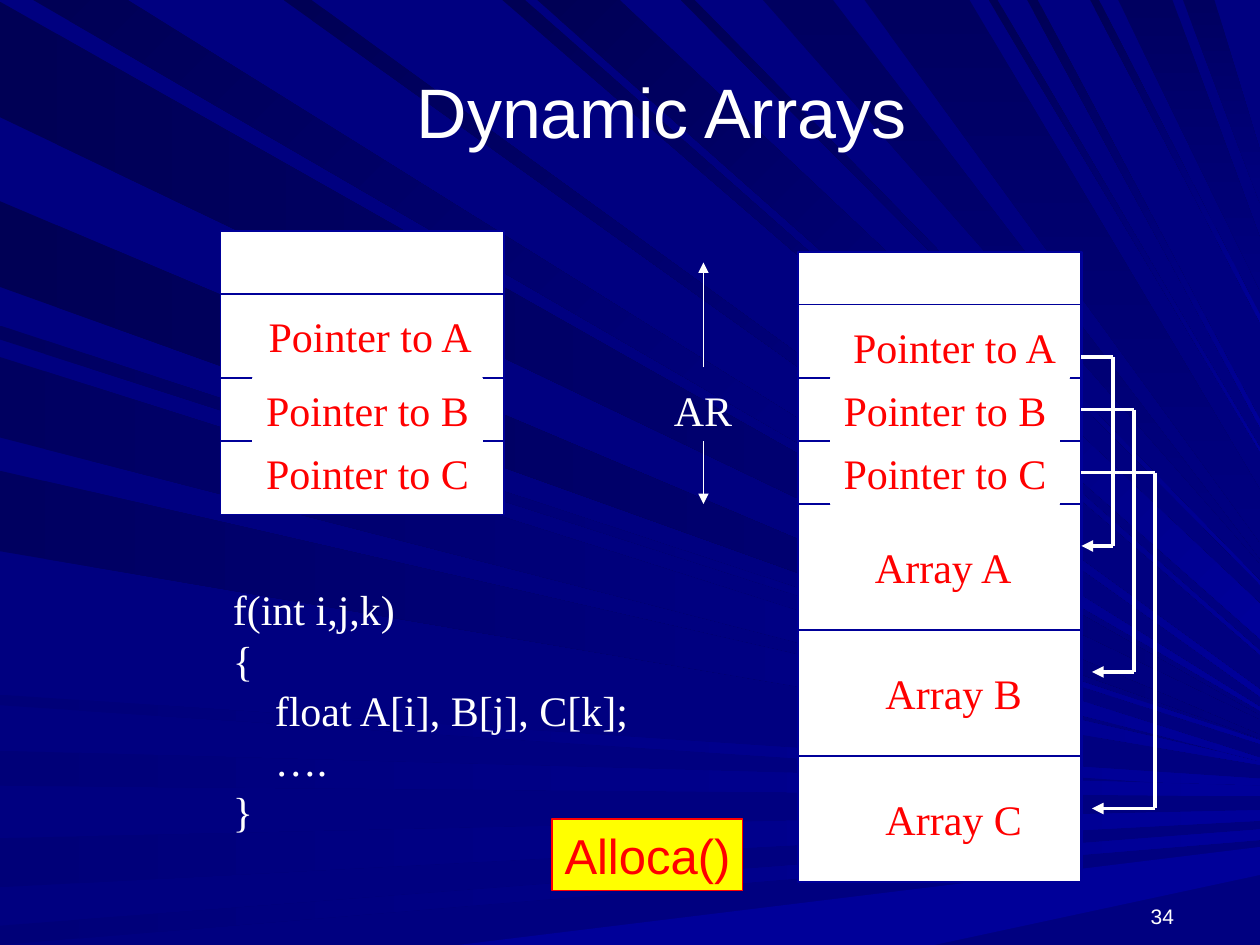
from lxml import etree
from pptx import Presentation
from pptx.dml.color import RGBColor
from pptx.enum.shapes import MSO_CONNECTOR, MSO_SHAPE
from pptx.enum.text import MSO_ANCHOR as ANCHOR, MSO_AUTO_SIZE as AUTO_SIZE, PP_ALIGN as ALIGN
from pptx.oxml.ns import qn
from pptx.util import Pt

COLORS = {"navy": "000080", "edge": "000099", "white": "FFFFFF", "red": "FF0000",
          "yellow": "FFFF00", "dark": "000055", "dim": "000060", "dusk": "000078"}
SERIF, SANS = "Times New Roman", "Arial"
WIDTH, HEIGHT = 720, 540
ROW = 36

# Rays run from a span on one slide edge to a tip on the right edge.
# Group: edge, start colour, end colour, clockwise angle, tip height, (near, far, tip)
RAY_GROUPS = [
    ("left", "dark", "navy", 0, 2, [(1, 67, 410), (115, 164, 421)]),
    ("left", "dim", "edge", 0, 2, [(186, 194, 424), (269, 315, 436), (204, 250, 434)]),
    ("left", "dusk", "edge", 0, 6, [(397, 403, 448), (429, 449, 452), (479, 507, 466),
                                    (529, 540, 477)]),
    ("bottom", "edge", "edge", 0, 16, [(262, 534, 492)]),
    ("top", "dark", "edge", 45, 3, [(19, 73, 405), (162, 178, 396), (287, 300, 373),
                                    (389, 397, 333), (565, 570, 257), (587, 593, 242),
                                    (623, 628, 182)]),
    ("top", "dark", "edge", 45, 20, [(307, 354, 355)]),
    ("top", "dim", "navy", 90, 2, [(436, 476, 321)]),
    ("top", "dim", "navy", 90, 30, [(494, 554, 295), (639, 670, 151), (676, 694, 101)]),
]

prs = Presentation()
prs.slide_width, prs.slide_height = Pt(WIDTH), Pt(HEIGHT)
slide = prs.slides.add_slide(prs.slide_layouts[6])
shapes = slide.shapes
slide.background.fill.solid()
slide.background.fill.fore_color.rgb = RGBColor.from_string(COLORS["navy"])


def add_text(text, left, top, width, height, size=24, font=SERIF, color="red", fill=None,
             line=None, weight=1, align=ALIGN.CENTER, anchor=ANCHOR.TOP, wrap=False,
             spacing=None):
    """Add a text box, or a rectangle if it has a fill or an outline."""
    area = Pt(left), Pt(top), Pt(width), Pt(height)
    if fill or line:
        box = shapes.add_shape(MSO_SHAPE.RECTANGLE, *area)
        box.shadow.inherit = False
    else:
        box = shapes.add_textbox(*area)
    if fill:
        box.fill.solid()
        box.fill.fore_color.rgb = RGBColor.from_string(COLORS[fill])
    else:
        box.fill.background()
    if line:
        box.line.color.rgb = RGBColor.from_string(COLORS[line])
        box.line.width = Pt(weight)
    frame = box.text_frame
    frame.text = text
    frame.word_wrap = wrap
    frame.auto_size = AUTO_SIZE.NONE
    frame.vertical_anchor = anchor
    for paragraph in frame.paragraphs:
        paragraph.alignment = align
        paragraph.line_spacing = spacing
        paragraph.font.size = Pt(size)
        paragraph.font.name = font
        paragraph.font.color.rgb = RGBColor.from_string(COLORS[color])


def add_line(x1, y1, x2, y2, color="white", weight=1.0, arrow=False):
    line = shapes.add_connector(MSO_CONNECTOR.STRAIGHT, Pt(x1), Pt(y1), Pt(x2), Pt(y2))
    line.line.color.rgb = RGBColor.from_string(COLORS[color])
    line.line.width = Pt(weight)
    if arrow:
        etree.SubElement(line.line._get_or_add_ln(), qn("a:tailEnd"), type="triangle")
    etree.SubElement(line._element.spPr, qn("a:effectLst"))


for edge, start, end, angle, tip_height, rays in RAY_GROUPS:
    for near, far, tip in rays:
        if edge == "left":
            base = [(0, far), (0, near)]
        else:
            y = 0 if edge == "top" else HEIGHT
            base = [(near, y), (far, y)]
        tips = [(WIDTH, tip - tip_height / 2), (WIDTH, tip + tip_height / 2)]
        if edge == "bottom":
            tips.reverse()
        builder = shapes.build_freeform(*base[0], scale=float(Pt(1)))
        builder.add_line_segments(base[1:] + tips, close=True)
        ray = builder.convert_to_shape()
        ray.shadow.inherit = False
        ray.line.fill.background()
        ray.fill.gradient()
        ray.fill.gradient_angle = -angle % 360
        for stop, shade in zip(ray.fill.gradient_stops, (start, end)):
            stop.color.rgb = RGBColor.from_string(COLORS[shade])

add_text("Dynamic Arrays", 54, 18, 648, 90, size=40, font=SANS, color="white",
         anchor=ANCHOR.MIDDLE, wrap=True)
add_text("34", 630, 510, 48, 24, size=12, font=SANS, color="white",
         align=ALIGN.RIGHT, anchor=ANCHOR.BOTTOM, wrap=True)

# Activation record before the arrays are allocated
add_text("", 126, 132, 162, 162, fill="white", line="edge")
for y, weight in [(168, 1), (216, 1.5), (252, 1.5)]:
    add_line(126, y, 288, y, color="edge", weight=weight)
for label, left, top in [("A", 146, 174), ("B", 144.5, 216), ("C", 144.5, 252)]:
    add_text(f"Pointer to {label}", left, top, 131, ROW, line="white", spacing=Pt(28.8))

# Activation record followed by the arrays
add_text("", 456, 144, 162, 360, fill="white", line="edge", weight=1.5)
for y in (174, 216, 252, 288, 360, 432):
    add_line(456, y, 618, y, color="edge", weight=0.75 if y < 288 else 1.5)
for label, left, top in [("A", 480, 180), ("B", 474.5, 216), ("C", 474.5, 252)]:
    add_text(f"Pointer to {label}", left, top, 131, ROW, line="white", weight=0.75,
             spacing=Pt(28.8))
for i, (label, left) in enumerate([("A", 493), ("B", 499), ("C", 499)]):
    add_text(f"Array {label}", left, 306 + 72 * i, 92, ROW, line="white", weight=1.5,
             spacing=Pt(28.8))

# Links from each pointer to its array
for pointer_y, bend_x, array_y, array_x in [(204, 636, 312, 618), (234, 648, 384, 624),
                                            (270, 660, 462, 624)]:
    add_line(618, pointer_y, bend_x, pointer_y, weight=2.25)
    add_line(bend_x, pointer_y, bend_x, array_y, weight=2.25)
    add_line(bend_x, array_y, array_x, array_y, weight=2.25, arrow=True)

# Extent of the activation record
add_text("AR", 378, 216, 47.5, ROW, color="white", spacing=Pt(28.8))
add_line(402, 210, 402, 150, arrow=True)
add_line(402, 252, 402, 288, arrow=True)

add_text("f(int i,j,k)\n{\n    float A[i], B[j], C[k];\n    ….\n}", 126, 330, 241, 151,
         color="white", align=ALIGN.LEFT, spacing=Pt(28.8))
add_text("Alloca()", 315.5, 468, 109, 41, size=28, font=SANS, fill="yellow", line="red",
         weight=0.75, align=ALIGN.LEFT)

prs.save("out.pptx")
